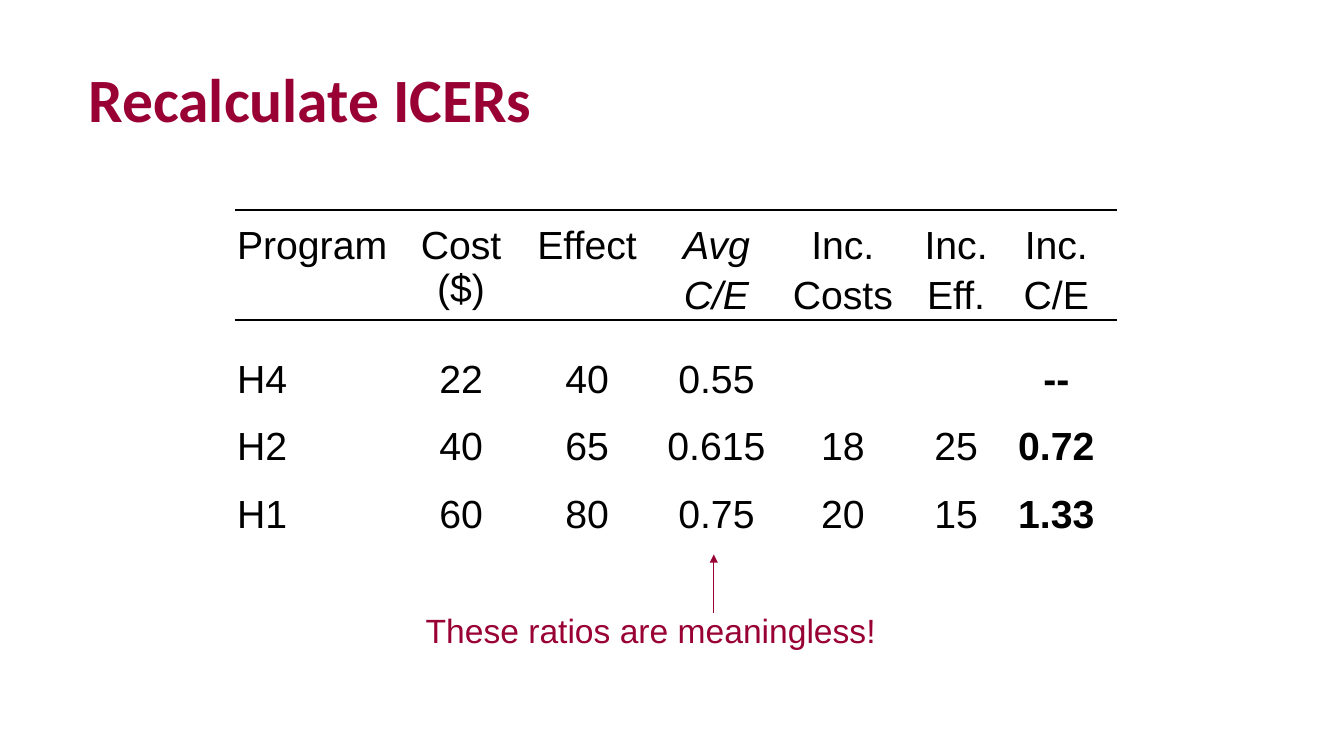
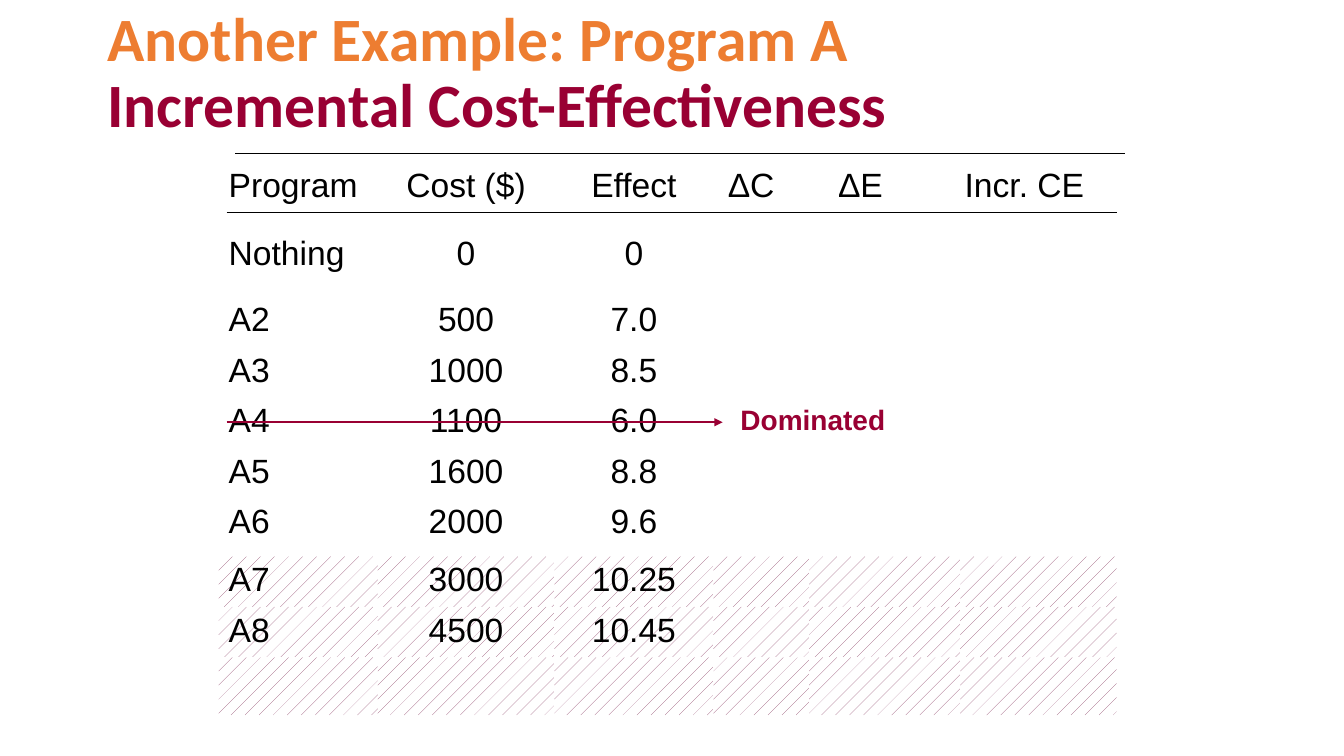
from lxml.etree import SubElement
from pptx import Presentation
from pptx.dml.color import RGBColor
from pptx.enum.dml import MSO_PATTERN
from pptx.enum.shapes import MSO_CONNECTOR
from pptx.enum.text import MSO_ANCHOR, PP_ALIGN
from pptx.oxml.ns import qn
from pptx.util import Cm, Pt

BLACK = RGBColor(0x00, 0x00, 0x00)
WHITE = RGBColor(0xFF, 0xFF, 0xFF)
CRIMSON = RGBColor(0x99, 0x00, 0x33)
ORANGE = RGBColor(0xED, 0x7D, 0x31)
PLUM = RGBColor(0x95, 0x4F, 0x72)

TITLE_FONT = "Calibri"
BODY_FONT = "Arial"
PLAIN_TABLE_STYLE = "{2D5ABB26-0587-4C30-8999-92F81FD0307C}"


def set_font(font, size, color, bold=False, italic=False, name=BODY_FONT):
    font.name = name
    font.size = Pt(size)
    font.bold = bold
    font.italic = italic
    font.color.rgb = color


def add_title(slide, box, lines):
    """Place a title whose lines are (text, colour) pairs in one paragraph."""
    frame = slide.shapes.add_textbox(*map(Cm, box)).text_frame
    frame.word_wrap = True
    frame.vertical_anchor = MSO_ANCHOR.MIDDLE
    paragraph = frame.paragraphs[0]
    paragraph.line_spacing = 0.9
    for index, (text, color) in enumerate(lines):
        if index:
            paragraph.add_line_break()
        run = paragraph.add_run()
        run.text = text
        set_font(run.font, 44, color, bold=True, name=TITLE_FONT)


def add_note(slide, box, text, size, bold=False, wrap=True, align=PP_ALIGN.LEFT):
    frame = slide.shapes.add_textbox(*map(Cm, box)).text_frame
    frame.word_wrap = wrap
    paragraph = frame.paragraphs[0]
    paragraph.text = text
    paragraph.alignment = align
    set_font(paragraph.font, size, CRIMSON, bold)


def add_line(slide, start, end, color=BLACK, width=1, arrow=False):
    connector = slide.shapes.add_connector(
        MSO_CONNECTOR.STRAIGHT, *map(Cm, (*start, *end)))
    connector.line.color.rgb = color
    connector.line.width = Pt(width)
    properties = connector._element.spPr
    if arrow:
        SubElement(properties.find(qn("a:ln")), qn("a:tailEnd"), type="triangle")
    SubElement(properties, qn("a:effectLst"))


def fill_cell(cell, text, size, align, bold, italic):
    cell.fill.background()
    cell.text = text
    for index, paragraph in enumerate(cell.text_frame.paragraphs):
        paragraph.alignment = align
        if index:
            paragraph.space_before = Pt(5)
        set_font(paragraph.font, size, BLACK, bold, italic)


def add_program_table(slide, left, top, widths, heights, rows, size,
                      bold_column=None, italic_column=None):
    """Place a borderless table; bold is for body cells, italic for the header."""
    frame = slide.shapes.add_table(
        len(heights), len(widths), Cm(left), Cm(top),
        Cm(sum(widths)), Cm(sum(heights)))
    table = frame.table
    table.first_row = table.horz_banding = False
    table._tbl.tblPr.find(qn("a:tableStyleId")).text = PLAIN_TABLE_STYLE
    for column, width in zip(table.columns, widths):
        column.width = Cm(width)
    for row, height in zip(table.rows, heights):
        row.height = Cm(height)
    for row_index in range(len(heights)):
        texts = rows[row_index] if row_index < len(rows) else []
        for column_index in range(len(widths)):
            fill_cell(
                table.cell(row_index, column_index),
                texts[column_index] if column_index < len(texts) else "",
                size,
                PP_ALIGN.CENTER if column_index else PP_ALIGN.LEFT,
                row_index > 0 and column_index == bold_column,
                row_index == 0 and column_index == italic_column)
    return table


def add_header_rules(slide, left, top, width, height, shift=0):
    """Draw the rules above and below a header; shift moves the upper one."""
    add_line(slide, (left + shift, top), (left + shift + width, top))
    add_line(slide, (left, top + height), (left + width, top + height))


def build_recalculated_ratios(slide):
    left, top = 5.72, 5.51
    widths = [4.45, 2.9, 3.45, 3.07, 3.3, 2.41, 2.64]
    heights = [3.38, 1.7, 1.7, 1.7, 1.45]
    rows = [
        ["Program", "Cost ($)", "Effect", "Avg\nC/E",
         "Inc.\nCosts", "Inc.\nEff.", "Inc.\nC/E"],
        ["H4", "22", "40", "0.55", "", "", "--"],
        ["H2", "40", "65", "0.615", "18", "25", "0.72"],
        ["H1", "60", "80", "0.75", "20", "15", "1.33"],
    ]
    add_title(slide, (1.98, 1.47, 29.57, 2.24), [("Recalculate ICERs", CRIMSON)])
    add_program_table(slide, left, top, widths, heights, rows, 28,
                      bold_column=6, italic_column=3)
    add_header_rules(slide, left + 0.2, top - 0.22, sum(widths), 2.77)
    add_note(slide, (left + 0.2, top + 9.73, 20.96, 1.27),
             "These ratios are meaningless!", 24, align=PP_ALIGN.CENTER)
    arrow_x = left + 12.27
    add_line(slide, (arrow_x, top + 9.94), (arrow_x, top + 8.46),
             CRIMSON, 0.75, arrow=True)


def build_dominated_program(slide):
    left, top = 5.51, 4.09
    widths = [4.01, 4.45, 4.01, 1.9, 0.51, 3.1, 0.71, 3.94]
    heights = [1.7, 1.68, 1.27, 1.27, 1.27, 1.27, 1.47, 1.27, 1.27, 1.45]
    rows = [
        ["Program", "Cost ($)", "Effect", "ΔC", "ΔE", "", "Incr. CE"],
        ["Nothing", "0", "0"],
        ["A2", "500", "7.0"],
        ["A3", "1000", "8.5"],
        ["A4", "1100", "6.0"],
        ["A5", "1600", "8.8"],
        ["A6", "2000", "9.6"],
        ["A7", "3000", "10.25"],
        ["A8", "4500", "10.45"],
    ]
    first_hatched_row = 7
    add_title(slide, (2.46, 0, 28.85, 3.76),
              [("Another Example: Program A", ORANGE),
               ("Incremental Cost-Effectiveness", CRIMSON)])
    table = add_program_table(slide, left, top, widths, heights, rows, 24)
    for row_index in range(len(heights)):
        for column_index in (3, 5) if row_index else (4, 6):
            table.cell(row_index, column_index).merge(
                table.cell(row_index, column_index + 1))
        if row_index >= first_hatched_row:
            for cell in table.rows[row_index].cells:
                cell.fill.patterned()
                cell.fill.pattern = MSO_PATTERN.PERCENT_5
                cell.fill.fore_color.rgb = PLUM
                cell.fill.back_color.rgb = WHITE
    add_header_rules(slide, left + 0.2, top - 0.22, 22.43, 1.48, shift=0.22)
    strike_y = top + 6.55
    add_line(slide, (left + 0.2, strike_y), (left + 12.7, strike_y),
             CRIMSON, 1.5, arrow=True)
    add_note(slide, (left + 12.9, strike_y - 0.63, 4.17, 1.09),
             "Dominated", 20, bold=True, wrap=False)


def main():
    presentation = Presentation()
    presentation.slide_width = Cm(33.87)
    presentation.slide_height = Cm(19.05)
    blank_layout = presentation.slide_layouts[6]
    for build in (build_recalculated_ratios, build_dominated_program):
        build(presentation.slides.add_slide(blank_layout))
    presentation.save("out.pptx")


if __name__ == "__main__":
    main()
